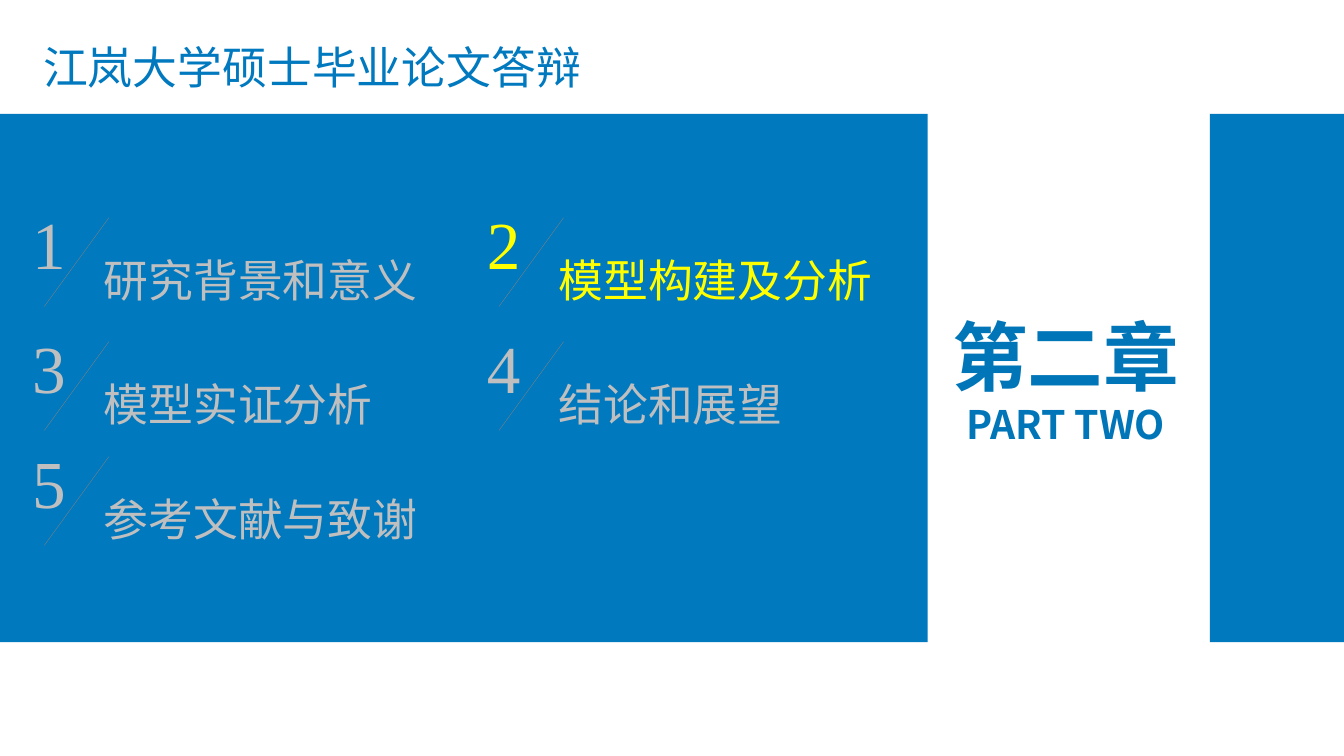
from lxml import etree
from pptx import Presentation
from pptx.dml.color import RGBColor
from pptx.enum import shapes, text
from pptx.oxml import ns
from pptx.util import Inches, Pt

HUES = {"band": "0079BF", "part": "0076B8", "dim": "BFBFBF", "lit": "FFFF00", "rule": "808080"}
SANS, SERIF = "Noto Sans CJK SC", "Times New Roman"
FIT = text.MSO_AUTO_SIZE.SHAPE_TO_FIT_TEXT
MID = text.MSO_ANCHOR.MIDDLE
LEFT, TOP, COL = 0.22, 1.96, 4.51
ROWS = [0, 1.23, 2.37]
TOPICS = ["研究背景和意义", "模型构建及分析", "模型实证分析", "结论和展望", "参考文献与致谢"]
ACTIVE = 2


def write(home, box, lines, hue, face=SANS, align=text.PP_ALIGN.LEFT, bold=False, **form):
    frame = home.add_textbox(*map(Inches, box)).text_frame
    for key, value in {"word_wrap": True, "auto_size": FIT, **form}.items():
        setattr(frame, key, value)
    for i, (words, size) in enumerate(lines):
        para = frame.add_paragraph() if i else frame.paragraphs[0]
        para.alignment = align
        run = para.add_run()
        run.text = words
        for key, value in {"size": Pt(size), "name": face, "bold": bold}.items():
            setattr(run.font, key, value)
        run.font.color.rgb = RGBColor.from_string(HUES[hue])
        east = etree.SubElement(run.font._element, ns.qn("a:ea"))
        east.set("typeface", face)


deck = Presentation()
deck.slide_width, deck.slide_height = Inches(13.33), Inches(7.5)
page = deck.slides.add_slide(deck.slide_layouts[6]).shapes

for x, wide in [(-0.04, 9.24), (12, 1.36)]:
    band = page.add_shape(shapes.MSO_SHAPE.RECTANGLE, *map(Inches, (x, 1.13, wide, 5.24)))
    band.shadow.inherit = False
    band.fill.solid()
    band.fill.fore_color.rgb = RGBColor.from_string(HUES["band"])
    band.line.fill.background()

write(page, (9.26, 3.04, 2.62, 1.43), [("第二章", 54), ("PART TWO", 28)], "part",
      align=text.PP_ALIGN.CENTER, bold=True, auto_size=text.MSO_AUTO_SIZE.NONE, vertical_anchor=MID)

for i, topic in enumerate(TOPICS):
    row, col = divmod(i, 2)
    x, y = LEFT + col * COL, TOP + ROWS[row]
    hue = "lit" if i + 1 == ACTIVE else "dim"
    group = page.add_group_shape().shapes
    write(group, (x, y, 0.54, 0.91), [(str(i + 1), 48)], hue, SERIF, word_wrap=False)
    ends = map(Inches, (x + 0.86, y + 0.2, x + 0.22, y + 1.08))
    slash = group.add_connector(shapes.MSO_CONNECTOR.STRAIGHT, *ends)
    slash.line.width = Pt(0.25)
    slash.line.color.rgb = RGBColor.from_string(HUES["rule"])
    etree.SubElement(slash._element.spPr, ns.qn("a:effectLst"))
    write(group, (x + 0.71, y + 0.5, 4.64, 0.64), [(topic, 32)], hue)

write(page, (0.33, 0.34, 6.37, 0.64), [("江岚大学硕士毕业论文答辩", 32)], "band")

deck.save("out.pptx")
